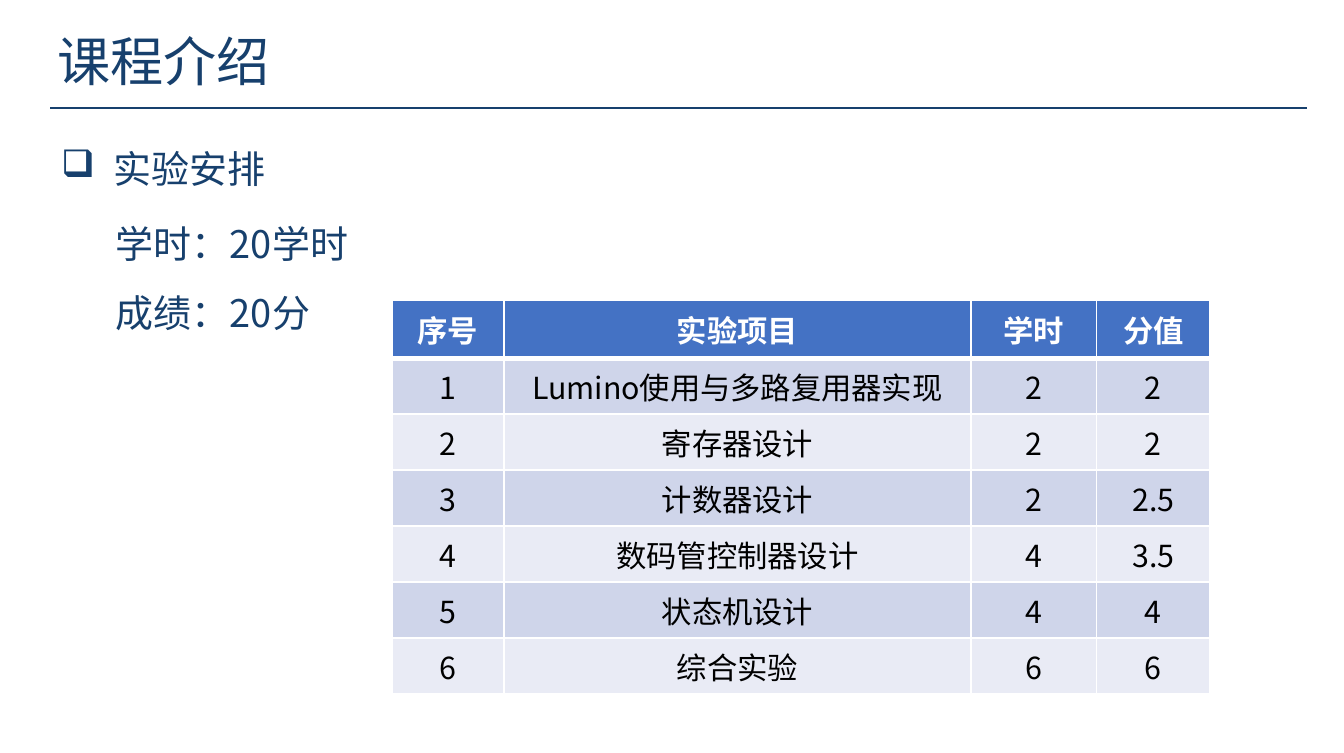
from lxml import etree
from pptx import Presentation
from pptx.dml.color import RGBColor
from pptx.enum.shapes import MSO_CONNECTOR
from pptx.enum.text import MSO_ANCHOR, MSO_AUTO_SIZE, PP_ALIGN
from pptx.oxml.ns import qn
from pptx.util import Inches, Pt

STRAIGHT = MSO_CONNECTOR.STRAIGHT
MIDDLE = MSO_ANCHOR.MIDDLE
GROW = MSO_AUTO_SIZE.SHAPE_TO_FIT_TEXT
CENTER = PP_ALIGN.CENTER

NAVY = RGBColor(0x17, 0x40, 0x6D)
BLUE = RGBColor(0x44, 0x72, 0xC4)
BAND = RGBColor(0xCF, 0xD5, 0xEA)
PALE = RGBColor(0xE9, 0xEB, 0xF5)
WHITE = RGBColor(0xFF, 0xFF, 0xFF)
BLACK = RGBColor(0x00, 0x00, 0x00)


class Page:
    face = "Noto Sans CJK SC"

    def __init__(self, slide):
        self.slide = slide

    def style(self, para, size, color, bold=False):
        font = para.font
        font.name, font.size, font.bold = self.face, Pt(size), bold
        font.color.rgb = color
        # East Asian text takes its own typeface
        props = para._p.pPr.find(qn("a:defRPr"))
        etree.SubElement(props, qn("a:ea"), typeface=self.face)

    def rule(self, x1, x2, y):
        line = self.slide.shapes.add_connector(
            STRAIGHT, Inches(x1), Inches(y), Inches(x2), Inches(y))
        line.line.color.rgb = NAVY
        line.line.width = Pt(1)
        etree.SubElement(line._element.spPr, qn("a:effectLst"))

    def text(self, box, lines, size, spacing=1.0, bullet=None):
        frame = self.slide.shapes.add_textbox(*map(Inches, box)).text_frame
        frame.word_wrap = True
        frame.auto_size = GROW
        frame.text = "\n".join(lines)
        for para in frame.paragraphs:
            para.line_spacing = spacing
            if bullet:
                props = para._p.get_or_add_pPr()
                props.set("marL", str(Inches(0.38)))
                props.set("indent", str(-Inches(0.38)))
                etree.SubElement(props, qn("a:buChar"), char=bullet)
            self.style(para, size, NAVY)

    def border(self, cell, widths):
        props = cell._tc.get_or_add_tcPr()
        for side, width in zip("LRTB", widths):
            edge = etree.SubElement(props, qn("a:ln" + side), w=str(Pt(width)))
            fill = etree.SubElement(edge, qn("a:solidFill"))
            etree.SubElement(fill, qn("a:srgbClr"), val=str(WHITE))

    def table(self, left, top, cols, heights, rows):
        table = self.slide.shapes.add_table(
            len(rows), len(cols), Inches(left), Inches(top),
            Inches(sum(cols)), Inches(sum(heights))).table
        for col, width in zip(table.columns, cols):
            col.width = Inches(width)
        for i, values in enumerate(rows):
            table.rows[i].height = Inches(heights[i])
            head = i == 0
            fill = BLUE if head else BAND if i % 2 else PALE
            for j, value in enumerate(values):
                cell = table.cell(i, j)
                cell.text = value
                cell.vertical_anchor = MIDDLE
                self.border(cell, (1, 1, 3 if i == 1 else 1, 3 if head else 1))
                cell.fill.solid()
                cell.fill.fore_color.rgb = fill
                para = cell.text_frame.paragraphs[0]
                para.alignment = CENTER
                self.style(para, 16, WHITE if head else BLACK, head)


def main():
    deck = Presentation()
    deck.slide_width, deck.slide_height = Inches(9.84), Inches(5.51)
    page = Page(deck.slides.add_slide(deck.slide_layouts[6]))

    # Title and rule
    page.rule(0.37, 9.57, 0.79)
    page.text((0.32, 0.16, 2.32, 0.57), ["课程介绍"], 28)

    # Hours and score
    page.text((0.35, 0.85, 6.86, 0.55), ["实验安排"], 20, 1.5, "❑")
    page.text((0.75, 1.4, 2.2, 1.05), ["学时：20学时", "成绩：20分"], 20, 1.5)

    # List of labs
    labs = [
        ("Lumino使用与多路复用器实现", "2", "2"),
        ("寄存器设计", "2", "2"),
        ("计数器设计", "2", "2.5"),
        ("数码管控制器设计", "4", "3.5"),
        ("状态机设计", "4", "4"),
        ("综合实验", "6", "6"),
    ]
    rows = [("序号", "实验项目", "学时", "分值")]
    rows += [(str(n), *lab) for n, lab in enumerate(labs, 1)]
    page.table(2.87, 2.2, (0.82, 3.42, 0.92, 0.83),
               [0.42] + [0.41] * len(labs), rows)

    deck.save("out.pptx")


if __name__ == "__main__":
    main()
